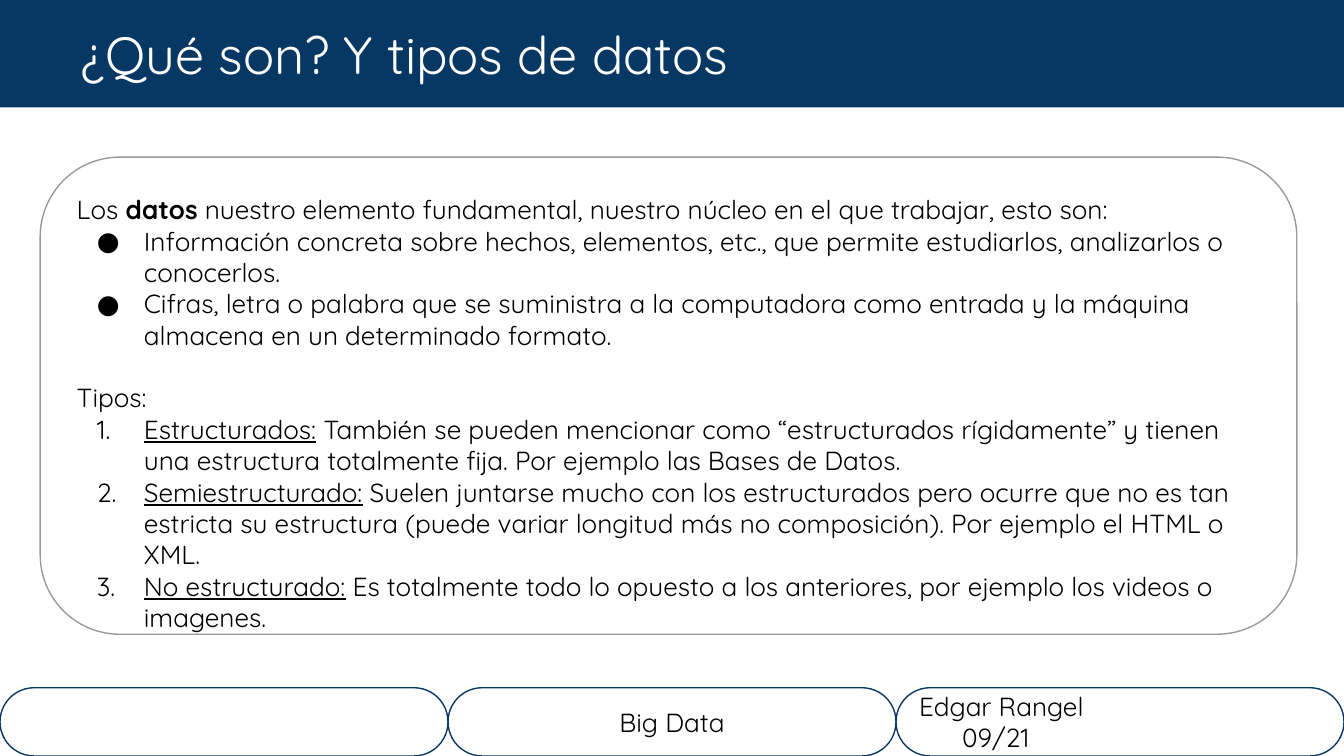
import pptx
import pptx.dml.color
import pptx.enum.shapes
import pptx.enum.text
import pptx.oxml.ns
import pptx.util
from lxml import etree

Cm = pptx.util.Cm
Pt = pptx.util.Pt
MSO_SHAPE = pptx.enum.shapes.MSO_SHAPE
MSO_ANCHOR = pptx.enum.text.MSO_ANCHOR
PP_ALIGN = pptx.enum.text.PP_ALIGN

COLORS = {"navy": "073763", "gray": "999999", "black": "000000", "white": "FFFFFF"}
FONT = "Quicksand"
WIDTH, HEIGHT = 25.4, 14.29
LIST_INDENT, LIST_HANGING = 1.27, -0.89

DEFINITIONS = [
    "Información concreta sobre hechos, elementos, etc., que permite estudiarlos, analizarlos o conocerlos.",
    "Cifras, letra o palabra que se suministra a la computadora como entrada y la máquina almacena en un determinado formato.",
]
DATA_TYPES = [
    ("Estructurados:", " También se pueden mencionar como “estructurados rígidamente” y tienen una estructura totalmente fija. Por ejemplo las Bases de Datos."),
    ("Semiestructurado:", " Suelen juntarse mucho con los estructurados pero ocurre que no es tan estricta su estructura (puede variar longitud más no composición). Por ejemplo el HTML o XML."),
    ("No estructurado:", " Es totalmente todo lo opuesto a los anteriores, por ejemplo los videos o imagenes."),
]


def rgb(name):
    return pptx.dml.color.RGBColor.from_string(COLORS[name])


def add_box(slide, box, kind, fill=None, line=None, adjustment=None, anchor=MSO_ANCHOR.MIDDLE):
    shape = slide.shapes.add_shape(kind, *(Cm(length) for length in box))
    shape.shadow.inherit = False
    if adjustment is not None:
        shape.adjustments[0] = adjustment
    if fill:
        shape.fill.solid()
        shape.fill.fore_color.rgb = rgb(fill)
    else:
        shape.fill.background()
    if line:
        shape.line.color.rgb = rgb(line)
        shape.line.width = Pt(0.75)
    else:
        shape.line.fill.background()
    frame = shape.text_frame
    frame.word_wrap = True
    frame.vertical_anchor = anchor
    frame.margin_left = frame.margin_right = Cm(0.25)
    frame.margin_top = frame.margin_bottom = Cm(0.25)
    return frame


def add_run(paragraph, text, size=14, color="black", bold=False, underline=False):
    run = paragraph.add_run()
    run.text = text
    font = run.font
    font.name, font.size = FONT, Pt(size)
    font.bold, font.underline = bold, underline
    font.color.rgb = rgb(color)


def add_paragraph(frame, first=False, align=PP_ALIGN.LEFT, left=0, hanging=0, before=0):
    paragraph = frame.paragraphs[0] if first else frame.add_paragraph()
    paragraph.alignment = align
    paragraph.space_before = Pt(before)
    properties = paragraph._p.get_or_add_pPr()
    properties.set("marL", str(Cm(left)))
    properties.set("indent", str(Cm(hanging)))
    return paragraph


def add_list_item(frame, marker, **attributes):
    paragraph = add_paragraph(frame, left=LIST_INDENT, hanging=LIST_HANGING)
    properties = paragraph._p.get_or_add_pPr()
    qn = pptx.oxml.ns.qn
    color = etree.SubElement(properties, qn("a:buClr"))
    etree.SubElement(color, qn("a:srgbClr"), val=COLORS["black"])
    etree.SubElement(properties, qn("a:buFont"), typeface=FONT)
    etree.SubElement(properties, qn(marker), **attributes)
    return paragraph


def add_title(slide, box):
    frame = add_box(slide, box, MSO_SHAPE.RECTANGLE, fill="navy")
    paragraph = add_paragraph(frame, first=True, left=1.27)
    add_run(paragraph, "¿Qué son? Y tipos de datos", size=28, color="white")


def add_body(slide, box):
    frame = add_box(slide, box, MSO_SHAPE.ROUNDED_RECTANGLE, line="gray",
                    adjustment=0.167, anchor=MSO_ANCHOR.TOP)
    introduction = add_paragraph(frame, first=True)
    add_run(introduction, "Los ")
    add_run(introduction, "datos", bold=True)
    add_run(introduction, " nuestro elemento fundamental, nuestro núcleo en el que trabajar, esto son:")
    for definition in DEFINITIONS:
        add_run(add_list_item(frame, "a:buChar", char="●"), definition)
    add_run(add_paragraph(frame, before=16.8), "Tipos:")
    for name, description in DATA_TYPES:
        item = add_list_item(frame, "a:buAutoNum", type="arabicPeriod")
        add_run(item, name, underline=True)
        add_run(item, description)


def add_footer(slide, box):
    left, top, width, height = box
    cell_width = width / 3
    blank, subject, author = [
        add_box(slide, (left + index * cell_width, top, cell_width, height),
                MSO_SHAPE.ROUNDED_RECTANGLE, line="navy", adjustment=0.5)
        for index in range(3)
    ]
    add_run(add_paragraph(subject, first=True, align=PP_ALIGN.CENTER), "Big Data")
    add_run(add_paragraph(author, first=True), "Edgar Rangel")
    add_run(add_paragraph(author, left=0.81), "09/21")


def main():
    presentation = pptx.Presentation()
    presentation.slide_width, presentation.slide_height = Cm(WIDTH), Cm(HEIGHT)
    slide = presentation.slides.add_slide(presentation.slide_layouts[6])
    add_title(slide, (0, 0, WIDTH, 2.03))
    add_body(slide, (0.76, 2.97, 23.75, 9.02))
    add_footer(slide, (0, 13, WIDTH, HEIGHT - 13))
    presentation.save("out.pptx")


if __name__ == "__main__":
    main()
